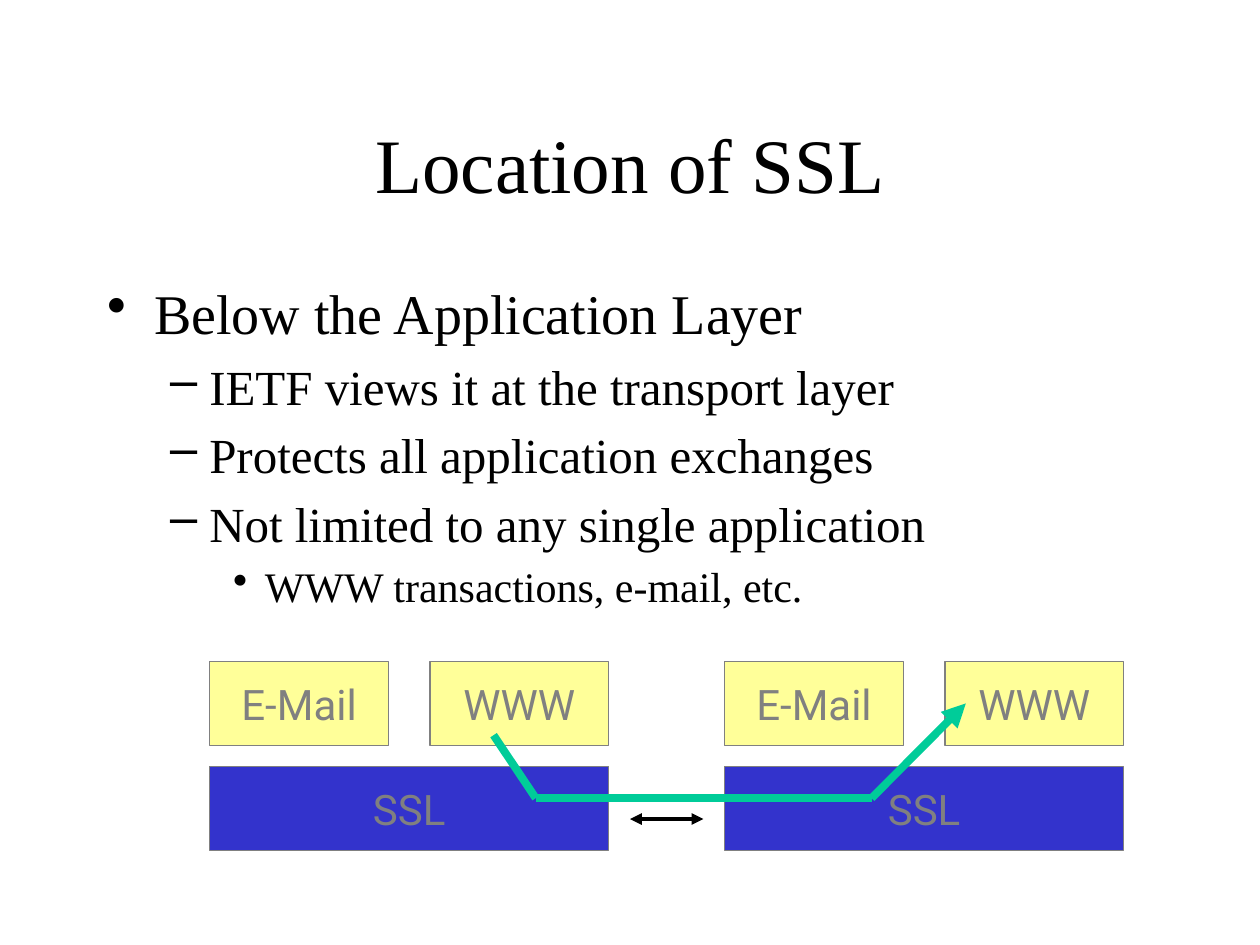
"""Build the slide showing where SSL sits between two hosts."""
from lxml.etree import SubElement
from pptx import Presentation
from pptx.dml.color import RGBColor
from pptx.enum.shapes import MSO_CONNECTOR as Connector, MSO_SHAPE as Shape
from pptx.enum.text import MSO_ANCHOR as Anchor, PP_ALIGN as Align
from pptx.oxml.ns import qn
from pptx.util import Cm, Pt

BLACK = RGBColor(0x00, 0x00, 0x00)
GRAY = RGBColor(0x80, 0x80, 0x80)
BLUE = RGBColor(0x33, 0x33, 0xCC)
YELLOW = RGBColor(0xFF, 0xFF, 0x99)
GREEN = RGBColor(0x00, 0xCC, 0x99)


def format_paragraph(paragraph, text, size, font, color):
    paragraph.text = text
    run = paragraph.runs[0]
    run.font.size = Pt(size)
    run.font.name = font
    run.font.color.rgb = color


def add_line(start, end, color, width, arrow_ends=()):
    points = [Cm(value) for value in (*start, *end)]
    connector = slide.shapes.add_connector(Connector.STRAIGHT, *points)
    connector.line.color.rgb = color
    connector.line.width = Pt(width)
    line = connector.line._get_or_add_ln()
    for arrow_end in arrow_ends:
        SubElement(line, qn(f"a:{arrow_end}"), type="triangle")
    SubElement(connector._element.spPr, qn("a:effectLst"))


presentation = Presentation()
presentation.slide_width = Cm(25.4)
presentation.slide_height = Cm(19.05)
slide = presentation.slides.add_slide(presentation.slide_layouts[6])

title = slide.shapes.add_textbox(Cm(1.91), Cm(1.69), Cm(21.59), Cm(3.18))
title.text_frame.word_wrap = True
title.text_frame.vertical_anchor = Anchor.MIDDLE
title_paragraph = title.text_frame.paragraphs[0]
title_paragraph.alignment = Align.CENTER
format_paragraph(title_paragraph, "Location of SSL", 44, "Times New Roman", BLACK)

LEVELS = [
    (32, 0.95, 0.95, 0, "•"),
    (28, 2.06, 0.79, 5.6, "–"),
    (24, 3.18, 0.64, 4.8, "•"),
]
POINTS = [
    (0, "Below the Application Layer"),
    (1, "IETF views it at the transport layer"),
    (1, "Protects all application exchanges"),
    (1, "Not limited to any single application"),
    (2, "WWW transactions, e-mail, etc."),
]
body = slide.shapes.add_textbox(Cm(1.91), Cm(5.5), Cm(21.59), Cm(11.43))
body.text_frame.word_wrap = True
for index, (level, text) in enumerate(POINTS):
    size, margin, hanging, space, bullet = LEVELS[level]
    paragraph = body.text_frame.paragraphs[0] if index == 0 else body.text_frame.add_paragraph()
    format_paragraph(paragraph, text, size, "Times New Roman", BLACK)
    paragraph.level = level
    paragraph.space_before = Pt(space)
    properties = paragraph._p.get_or_add_pPr()
    properties.set("marL", str(Cm(margin)))
    properties.set("indent", str(-Cm(hanging)))
    bullet_color = SubElement(properties, qn("a:buClr"))
    SubElement(bullet_color, qn("a:srgbClr"), val=str(BLACK))
    SubElement(properties, qn("a:buChar"), char=bullet)

LAYER_BOXES = [
    ("SSL", 0, 15.45, 8.04, BLUE),
    ("E-Mail", 0, 13.34, 3.6, YELLOW),
    ("WWW", 4.44, 13.34, 3.6, YELLOW),
]
for host_left in (4.23, 14.61):
    for text, offset, top, width, fill in LAYER_BOXES:
        box = slide.shapes.add_shape(
            Shape.RECTANGLE, Cm(host_left + offset), Cm(top), Cm(width), Cm(1.69)
        )
        box.shadow.inherit = False
        box.fill.solid()
        box.fill.fore_color.rgb = fill
        box.line.color.rgb = GRAY
        box.line.width = Pt(0.75)
        box.text_frame.vertical_anchor = Anchor.MIDDLE
        box_paragraph = box.text_frame.paragraphs[0]
        box_paragraph.alignment = Align.CENTER
        format_paragraph(box_paragraph, text, 24, "Roboto", GRAY)

add_line((12.7, 16.51), (14.18, 16.51), BLACK, 2.25, ("headEnd", "tailEnd"))

ROUTE = [(9.95, 14.82), (10.8, 16.09), (17.57, 16.09), (19.47, 14.18)]
for index, (start, end) in enumerate(zip(ROUTE, ROUTE[1:])):
    is_last = index == len(ROUTE) - 2
    add_line(start, end, GREEN, 4.5, ("tailEnd",) if is_last else ())

presentation.save("out.pptx")
